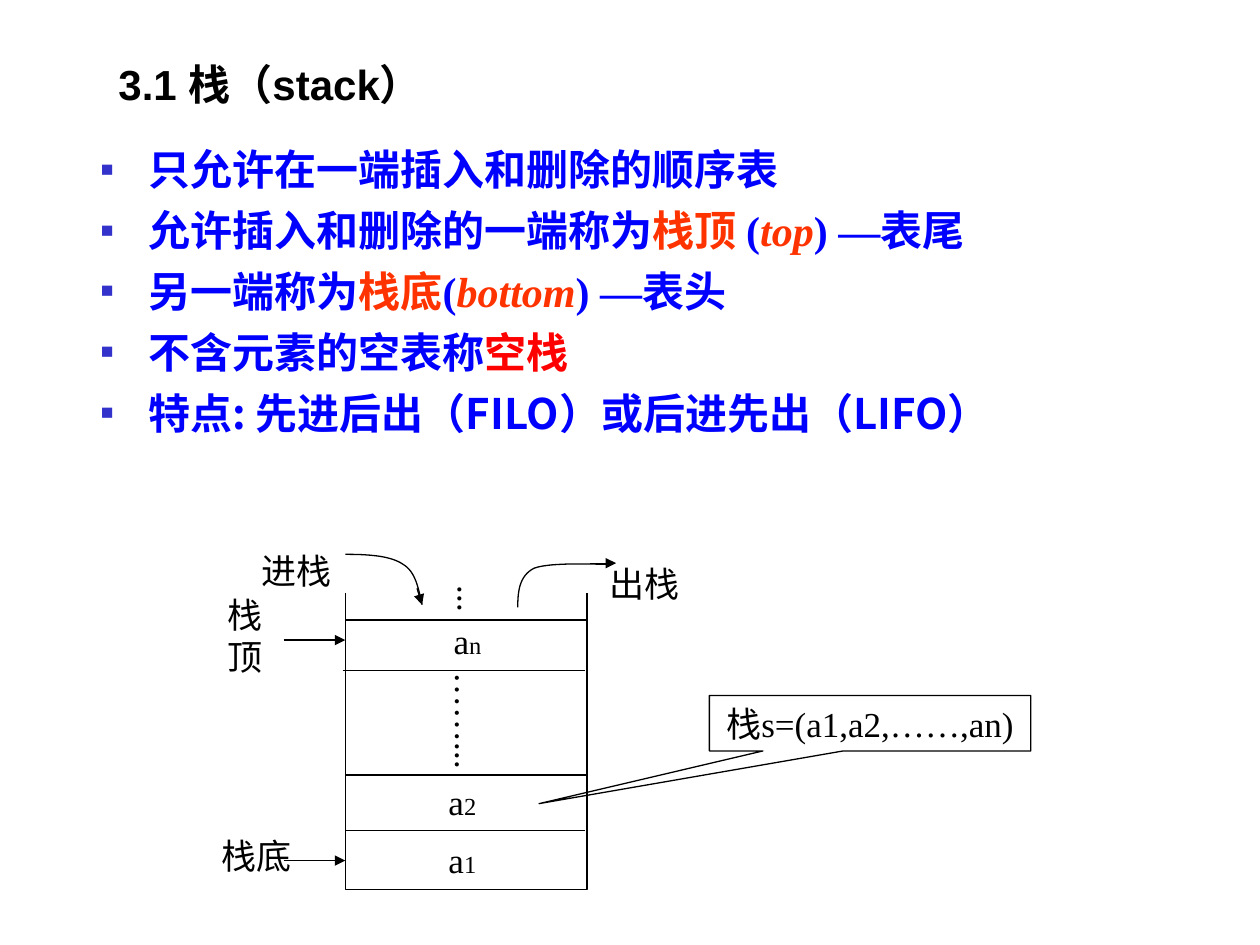
from lxml.etree import SubElement
from pptx import Presentation
from pptx.dml.color import RGBColor
from pptx.enum.shapes import MSO_CONNECTOR, MSO_SHAPE
from pptx.enum.text import MSO_ANCHOR, MSO_AUTO_SIZE, PP_ALIGN
from pptx.oxml.ns import qn
from pptx.util import Inches, Pt

SERIF, SANS, CJK = "Times New Roman", "Arial", "Noto Sans CJK SC"
BLACK, BLUE, RUST, RED = "000000", "0000FF", "FF3300", "FF0000"


def cell(n):
    """Length of n cells; the slide is a grid of 100 columns by 75 rows."""
    return Inches(n / 10)


def color(code):
    return RGBColor.from_string(code)


def place(shape, box):
    shape.left, shape.top, shape.width, shape.height = map(cell, box)


def write(para, text, size=20, font=SERIF, ink=BLACK, bold=None, slant=None):
    run = para.add_run()
    run.text = text
    face = run.font
    face.size, face.name, face.bold, face.italic = Pt(size), font, bold, slant
    face.color.rgb = color(ink)
    SubElement(run._r.get_or_add_rPr(), qn("a:ea"), typeface=CJK)


def bullet(para):
    props = para._p.get_or_add_pPr()
    props.set("marL", str(Inches(0.38)))
    props.set("indent", str(-Inches(0.38)))
    tint = SubElement(props, qn("a:buClr"))
    SubElement(tint, qn("a:srgbClr"), val="3333CC")
    SubElement(props, qn("a:buSzPct"), val="50000")
    SubElement(props, qn("a:buFont"), typeface=SANS)
    SubElement(props, qn("a:buChar"), char="■")


def label(shape, *parts, wrap=False, turn=False):
    """Centre parts, each a (text, size) pair, in a shape; turn sets them downward."""
    frame = shape.text_frame
    frame.word_wrap, frame.auto_size = wrap, MSO_AUTO_SIZE.NONE
    frame.vertical_anchor = MSO_ANCHOR.MIDDLE
    if turn:
        frame.margin_left = frame.margin_right = Inches(0.05)
        frame.margin_top = frame.margin_bottom = Inches(0.1)
        frame._txBody.bodyPr.set("vert", "eaVert")
    para = frame.paragraphs[0]
    para.alignment = PP_ALIGN.CENTER
    if wrap:
        para.line_spacing = Pt(24)
    for text, size in parts:
        write(para, text, size)


def outline(shape):
    shape.shadow.inherit = False
    shape.fill.background()
    shape.line.color.rgb = color(BLACK)
    shape.line.width = Pt(0.75)


def rule(slide, start, end, arrow=False):
    line = slide.shapes.add_connector(
        MSO_CONNECTOR.STRAIGHT, *map(cell, (*start, *end)))
    line.line.color.rgb = color(BLACK)
    line.line.width = Pt(0.75)
    if arrow:
        SubElement(line.line._get_or_add_ln(), qn("a:tailEnd"), type="triangle")
    SubElement(line._element.spPr, qn("a:effectLst"))


def curve(slide, start, *bends, steps=16):
    """Draw joined cubic curves, each bend holding two handles and an end."""
    dots, here = [], start
    for one, two, end in bends:
        for n in range(1, steps + 1):
            t = n / steps
            u = 1 - t
            dots.append([cell(u**3 * a + 3 * u * u * t * b + 3 * u * t * t * c + t**3 * d)
                         for a, b, c, d in zip(here, one, two, end)])
        here = end
    pen = slide.shapes.build_freeform(*map(cell, start))
    pen.add_line_segments(dots, close=False)
    outline(pen.convert_to_shape())


def title(slide, box):
    shape = slide.shapes.title
    place(shape, box)
    frame = shape.text_frame
    frame.auto_size, frame.vertical_anchor = MSO_AUTO_SIZE.NONE, MSO_ANCHOR.MIDDLE
    para = frame.paragraphs[0]
    para.alignment = PP_ALIGN.LEFT
    write(para, "3.1 栈（stack）", 24, SANS, bold=True)


def points(slide, box):
    rows = [
        [("只允许在一端插入和删除的顺序表", BLUE)],
        [("允许插入和删除的一端称为", BLUE), ("栈顶 ", RUST), ("(", BLUE),
         ("top", RUST, True), (") —表尾", BLUE)],
        [("另一端称为", BLUE), ("栈底", RUST), ("(", BLUE),
         ("bottom", RUST, True), (") —表头", BLUE)],
        [("不含元素的空表称", BLUE), ("空栈", RED)],
        [("特点: 先进后出（FILO）或后进先出（LIFO）", BLUE)],
    ]
    shape = slide.placeholders[1]
    place(shape, box)
    frame = shape.text_frame
    frame.auto_size = MSO_AUTO_SIZE.NONE
    for n, row in enumerate(rows):
        para = frame.add_paragraph() if n else frame.paragraphs[0]
        bullet(para)
        para.space_before = Pt(6 if n else 0)
        para.line_spacing = Pt(28.8)
        font = CJK if n in (0, len(rows) - 1) else SERIF
        for text, ink, *slant in row:
            write(para, text, 24, font, ink, True, bool(slant))


def stack(slide, box):
    left, top, wide, high = box
    right = left + wide

    def spot(x, y):
        return left + x, top + y

    body = slide.shapes.add_shape(MSO_SHAPE.RECTANGLE, *map(cell, box))
    outline(body)
    for x, y, end in [(-0.2, 4, 19), (0, 12.3, wide), (0, 16.7, 19)]:
        rule(slide, spot(x, y), spot(end, y))
    for x in (left, right):
        rule(slide, (x, top - 2.1), (x, top))

    for y in (1.6, 19.1):
        rule(slide, spot(-4.9, y), spot(0, y), arrow=True)
    curve(slide, spot(0, -5.2),
          (spot(1.8, -5.2), spot(3.6, -5.1), spot(4.6, -4.4)),
          (spot(5.6, -3.8), spot(5.8, -2.5), spot(6.1, -1.2)))
    rule(slide, spot(5.7, -2.5), spot(6.1, -1.2), arrow=True)
    curve(slide, spot(13.7, -1),
          (spot(13.7, -2.2), spot(13.8, -3.5), spot(15, -4.1)),
          (spot(16.3, -4.6), spot(20.2, -4.4), spot(21.1, -4.4)))
    rule(slide, spot(19.4, -4.5), spot(21.5, -4.5), arrow=True)

    notes = [
        (7.6, -0.6, 4.2, 4.4, [("a", 20), ("n", 14)], {}),
        (7.2, 12.2, 4.2, 4.4, [("a", 20), ("2", 14)], {}),
        (7.2, 16.8, 4.2, 4.4, [("a", 20), ("1", 14)], {}),
        (7.2, 3.2, 5.3, 8.7, [("……...", 20)], {"turn": True}),
        (7.4, -3.7, 5.3, 3.1, [("...", 20)], {"turn": True}),
        (-10.8, 16.5, 7.5, 4.4, [("栈底", 20)], {}),
        (-11.7, -2.6, 7.5, 7.7, [("栈顶", 20)], {"wrap": True}),
        (20, -5.1, 7.5, 4.4, [("出栈", 20)], {}),
        (-7.6, -6.1, 7.5, 4.4, [("进栈", 20)], {}),
    ]
    for x, y, w, h, parts, how in notes:
        area = slide.shapes.add_textbox(*map(cell, (*spot(x, y), w, h)))
        label(area, *parts, **how)


def callout(slide, box):
    shape = slide.shapes.add_shape(MSO_SHAPE.RECTANGULAR_CALLOUT, *map(cell, box))
    shape.adjustments[0], shape.adjustments[1] = -1.03, 1.45
    outline(shape)
    label(shape, ("栈s=(a1,a2,……,an)", 20))


def main():
    deck = Presentation()
    deck.slide_width, deck.slide_height = cell(100), cell(75)
    slide = deck.slides.add_slide(deck.slide_layouts[1])
    title(slide, (8.4, 3.2, 85, 6.9))
    points(slide, (7, 10.9, 86.3, 26))
    stack(slide, (27.4, 49.2, 19.2, 21.4))
    callout(slide, (56.3, 55.2, 25.5, 4.4))
    deck.save("out.pptx")


if __name__ == "__main__":
    main()
